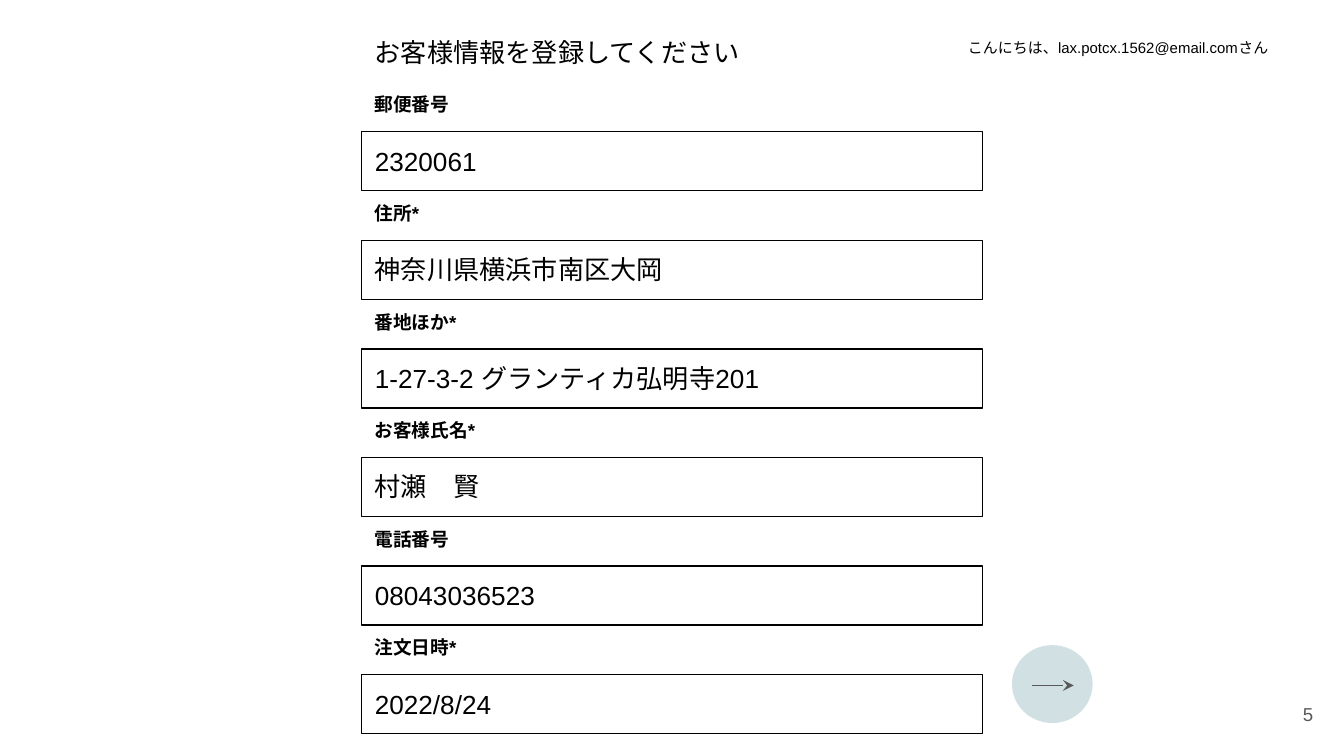
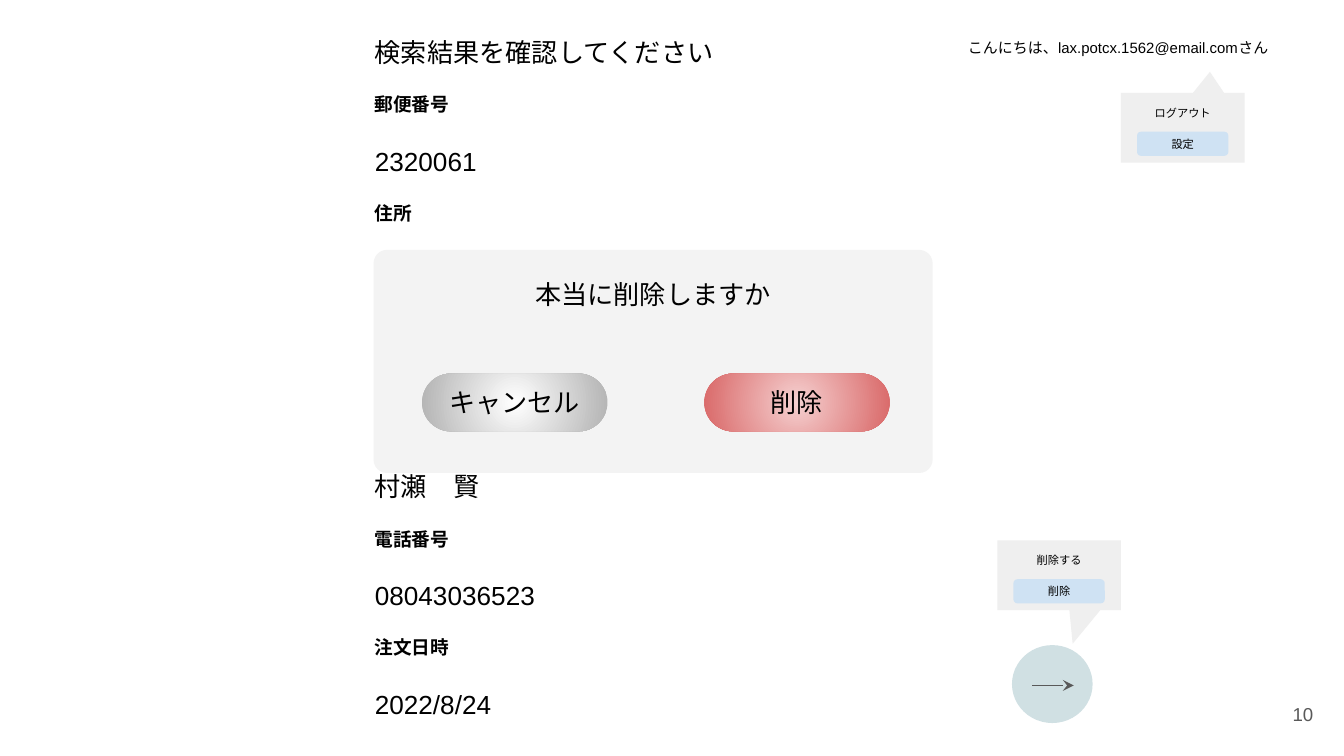
"""Build two screens of an order form: registration and delete confirmation."""
from lxml import etree
from pptx import Presentation
from pptx.dml.color import RGBColor
from pptx.enum.lang import MSO_LANGUAGE_ID
from pptx.enum.shapes import MSO_CONNECTOR, MSO_SHAPE
from pptx.enum.text import MSO_ANCHOR, MSO_AUTO_SIZE, PP_ALIGN
from pptx.oxml.ns import qn
from pptx.util import Inches, Pt

LEFT, CENTER, RIGHT = PP_ALIGN.LEFT, PP_ALIGN.CENTER, PP_ALIGN.RIGHT
TOP, MIDDLE = MSO_ANCHOR.TOP, MSO_ANCHOR.MIDDLE
GROW, FIXED = MSO_AUTO_SIZE.SHAPE_TO_FIT_TEXT, MSO_AUTO_SIZE.NONE
RECTANGLE, ROUNDED, OVAL = MSO_SHAPE.RECTANGLE, MSO_SHAPE.ROUNDED_RECTANGLE, MSO_SHAPE.OVAL
CALLOUT = MSO_SHAPE.ROUNDED_RECTANGULAR_CALLOUT
STRAIGHT, JAPANESE = MSO_CONNECTOR.STRAIGHT, MSO_LANGUAGE_ID.JAPANESE

FONT = "Arial"
BLACK, GREY = "000000", "595959"
BUTTON, BUBBLE, CHOICE, DIALOG = "D0E0E3", "EFEFEF", "CFE2F3", "F3F3F3"

GREETING = "こんにちは、lax.potcx.1562@email.comさん"
REGISTER = {
    "title": "お客様情報を登録してください",
    "number": "5",
    "boxed": True,
    "fields": [
        ("郵便番号", "2320061"),
        ("住所*", "神奈川県横浜市南区大岡"),
        ("番地ほか*", "1-27-3-2 グランティカ弘明寺201"),
        ("お客様氏名*", "村瀬　賢"),
        ("電話番号", "08043036523"),
        ("注文日時*", "2022/8/24"),
    ],
}
CONFIRM = {
    "title": "検索結果を確認してください",
    "number": "10",
    "boxed": False,
    "fields": [
        ("郵便番号", "2320061"),
        ("住所", None),
        (None, None),
        (None, "村瀬　賢"),
        ("電話番号", "08043036523"),
        ("注文日時", "2022/8/24"),
    ],
}
MENUS = [
    (8.34, 0.69, (0.22, -0.8, 0), ("ログアウト", "設定")),
    (7.42, 4.02, (0.11, 0.98, 0), ("削除する", "削除")),
]
QUESTION = "本当に削除しますか"
ANSWERS = [("キャンセル", "FFFFFF", "B3B3B3"), ("削除", "F5D0D0", "D96868")]

SLIDE_WIDTH = 10
FORM_LEFT, FORM_WIDTH = 2.69, 4.62
LABEL_HEIGHT, VALUE_HEIGHT = 0.37, 0.44
FIRST_LABEL, LAST_LABEL = 0.61, 4.65


def color(value):
    return RGBColor.from_string(value)


def write(shape, text, size=14, ink=BLACK, bold=None, align=LEFT, anchor=TOP, fit=GROW):
    frame = shape.text_frame
    frame.word_wrap = True
    frame.auto_size = fit
    frame.vertical_anchor = anchor
    frame.margin_left = frame.margin_right = Inches(0.1)
    frame.margin_top = frame.margin_bottom = Inches(0.1)
    paragraph = frame.paragraphs[0]
    paragraph.alignment = align
    run = paragraph.add_run()
    run.text = text
    font = run.font
    font.size, font.bold, font.name = Pt(size), bold, FONT
    font.language_id = JAPANESE
    font.color.rgb = color(ink)
    etree.SubElement(run._r.rPr, qn("a:ea")).set("typeface", FONT)


def add_text(slide, box, text, **format):
    write(slide.shapes.add_textbox(*map(Inches, box)), text, **format)


def add_shape(parent, kind, box, fill=None, line=None, adjust=()):
    shape = parent.shapes.add_shape(kind, *map(Inches, box))
    shape.shadow.inherit = False
    for index, value in enumerate(adjust):
        shape.adjustments[index] = value
    if fill:
        shape.fill.solid()
        shape.fill.fore_color.rgb = color(fill)
    else:
        shape.fill.background()
    if line:
        shape.line.color.rgb = color(line)
        shape.line.width = Pt(0.75)
    else:
        shape.line.fill.background()
    return shape


def fill_radial(shape, inner, outer):
    shape.fill.gradient()
    for stop, value in zip(shape.fill.gradient_stops, (inner, outer)):
        stop.color.rgb = color(value)
    gradient = shape._element.spPr.find(qn("a:gradFill"))
    gradient.remove(gradient.find(qn("a:lin")))
    radial = etree.SubElement(gradient, qn("a:path"))
    radial.set("path", "circle")
    center = etree.SubElement(radial, qn("a:fillToRect"))
    for side in "ltrb":
        center.set(side, "50000")


def add_next_button(slide):
    group = slide.shapes.add_group_shape()
    add_shape(group, OVAL, (7.53, 4.8, 0.6, 0.58), BUTTON)
    arrow = group.shapes.add_connector(STRAIGHT, *map(Inches, (7.68, 5.1, 7.99, 5.1)))
    arrow.line.color.rgb = color(GREY)
    arrow.line.width = Pt(0.75)
    etree.SubElement(arrow.line._get_or_add_ln(), qn("a:tailEnd")).set("type", "stealth")
    etree.SubElement(arrow._element.spPr, qn("a:effectLst"))


def add_menu(slide, left, top, pointer, choices):
    group = slide.shapes.add_group_shape()
    add_shape(group, CALLOUT, (left, top, 0.92, 0.52), BUBBLE, adjust=pointer)
    for index, (text, fill) in enumerate(zip(choices, (None, CHOICE))):
        box = (left + 0.12, top + 0.06 + 0.23 * index, 0.68, 0.18)
        choice = add_shape(group, ROUNDED, box, fill)
        write(choice, text, size=6, align=CENTER, anchor=MIDDLE, fit=FIXED)


def add_dialog(slide):
    add_shape(slide, ROUNDED, (2.78, 1.86, 4.16, 1.66), DIALOG, adjust=(0.06,))
    add_text(slide, (2.55, 1.97, FORM_WIDTH, VALUE_HEIGHT), QUESTION, align=CENTER)
    for index, (text, inner, outer) in enumerate(ANSWERS):
        answer = add_shape(slide, ROUNDED, (3.14 + 2.1 * index, 2.78, 1.38, 0.43), adjust=(0.5,))
        fill_radial(answer, inner, outer)
        write(answer, text, align=CENTER, anchor=MIDDLE, fit=FIXED)


def add_screen(presentation, screen):
    slide = presentation.slides.add_slide(presentation.slide_layouts[6])
    add_text(slide, (FORM_LEFT, 0.17, FORM_WIDTH, VALUE_HEIGHT), screen["title"])
    fields = screen["fields"]
    pitch = (LAST_LABEL - FIRST_LABEL) / (len(fields) - 1)
    for index, (label, value) in enumerate(fields):
        top = FIRST_LABEL + pitch * index
        value_box = (FORM_LEFT, top + LABEL_HEIGHT, FORM_WIDTH, VALUE_HEIGHT)
        if value and screen["boxed"]:
            write(add_shape(slide, RECTANGLE, value_box, line=BLACK), value)
        elif value:
            add_text(slide, value_box, value)
        if label:
            add_text(slide, (FORM_LEFT, top, FORM_WIDTH, LABEL_HEIGHT), label, size=10, bold=True)
    add_text(slide, (6.94, 0.22, 2.76, 0.34), GREETING, size=8, align=CENTER)
    add_text(slide, (9.27, 5.1, 0.6, 0.43), screen["number"], size=10, ink=GREY,
             align=RIGHT, anchor=MIDDLE, fit=FIXED)
    add_next_button(slide)
    return slide


presentation = Presentation()
presentation.slide_width = Inches(SLIDE_WIDTH)
presentation.slide_height = Inches(SLIDE_WIDTH * 9 / 16)
add_screen(presentation, REGISTER)
confirm_slide = add_screen(presentation, CONFIRM)
for menu in MENUS:
    add_menu(confirm_slide, *menu)
add_dialog(confirm_slide)
presentation.save("out.pptx")
